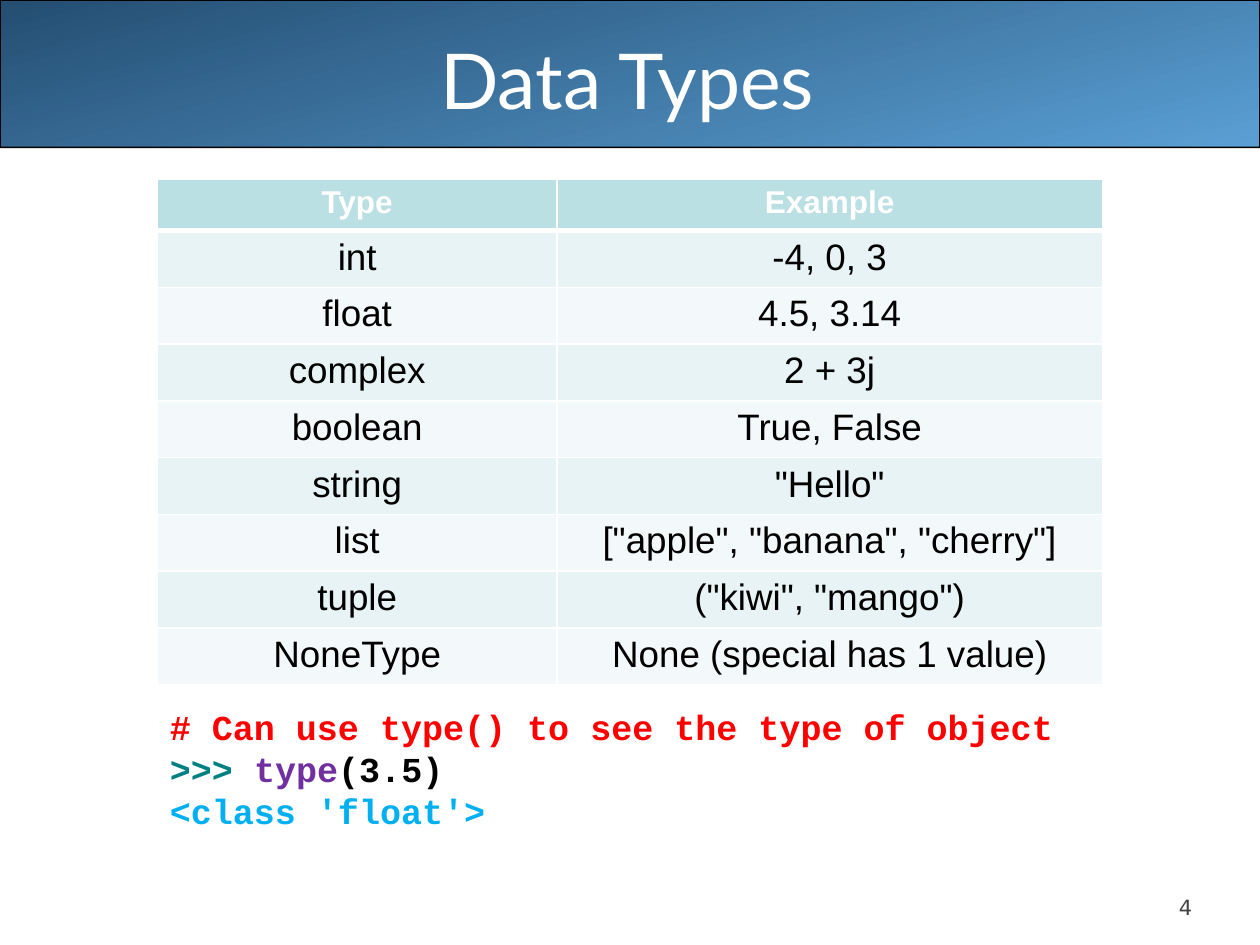
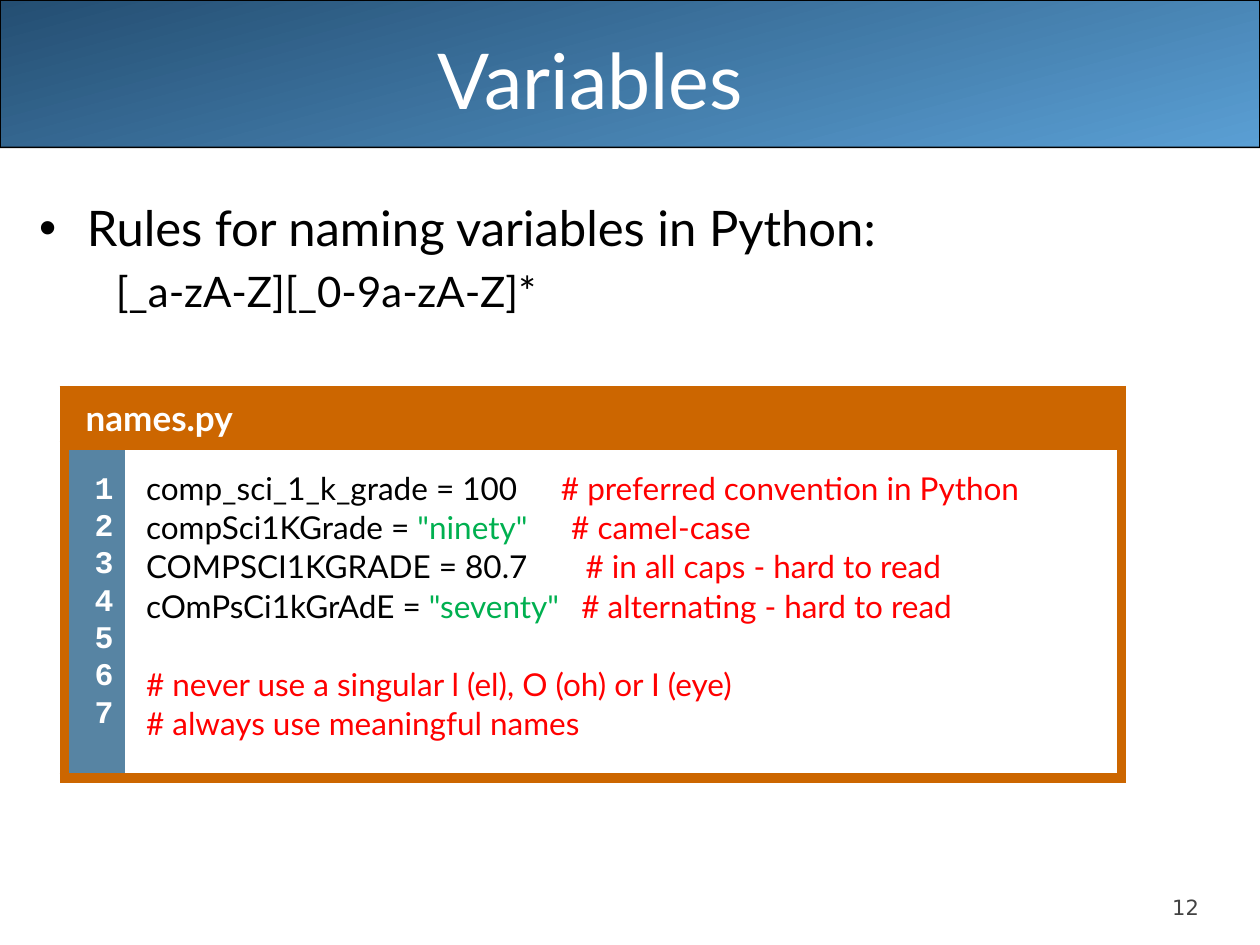
from pptx import Presentation
from pptx.dml.color import RGBColor
from pptx.enum.shapes import MSO_SHAPE
from pptx.enum.text import MSO_ANCHOR, MSO_AUTO_SIZE, PP_ALIGN
from pptx.oxml.ns import qn
from pptx.util import Inches, Pt
from lxml.etree import SubElement

COLORS = {
    "band_dark": "244E72", "band_light": "5A9FD4", "white": "FFFFFF", "black": "000000",
    "number": "424242", "header": "BBE0E3", "odd_row": "E7F3F4", "even_row": "F3F9FA",
    "comment": "FF0000", "prompt": "008080", "builtin": "7030A0", "output": "00B0F0",
    "string": "00B050", "frame": "CC6600", "gutter": "5784A3",
}


def rgb(name):
    return RGBColor.from_string(COLORS[name])


def write(paragraph, text, size=18, font="Lato", color="black", bold=False, align=None,
          before=0, spacing=None, indent=0, hanging=0, bullet=None):
    pieces = [(text, color)] if isinstance(text, str) else text
    for words, shade, *tracking in pieces:
        run = paragraph.add_run()
        run.text = words
        run.font.size, run.font.name, run.font.bold = Pt(size), font, bold
        run.font.color.rgb = rgb(shade)
        if tracking:
            run._r.get_or_add_rPr().set("spc", str(round(tracking[0] * 100)))
    paragraph.space_before = Pt(before)
    if align is not None:
        paragraph.alignment = align
    if spacing:
        paragraph.line_spacing = spacing
    properties = paragraph._p.get_or_add_pPr()
    properties.set("marL", str(Inches(indent)))
    properties.set("indent", str(Inches(-hanging)))
    if bullet:
        SubElement(properties, qn("a:buFont"), typeface="Arial")
        SubElement(properties, qn("a:buChar"), char=bullet)


def write_lines(frame, lines, **style):
    for index, line in enumerate(lines):
        paragraph = frame.paragraphs[0] if index == 0 else frame.add_paragraph()
        line = line if isinstance(line, dict) else {"text": line}
        options = {**style, **line}
        if index == 0:
            options["before"] = 0
        write(paragraph, **options)


def set_margins(target, left, top, right, bottom):
    target.margin_left, target.margin_top = Inches(left), Inches(top)
    target.margin_right, target.margin_bottom = Inches(right), Inches(bottom)


class Deck:
    def __init__(self):
        self.presentation = Presentation()
        self.presentation.slide_width = Inches(10)
        self.presentation.slide_height = Inches(7.5)
        self.slide = None

    def start(self, title, number, right_margin=0.14):
        self.slide = self.presentation.slides.add_slide(self.presentation.slide_layouts[5])
        self.band()
        heading = self.slide.shapes.title
        heading.left, heading.top = Inches(0.5), Inches(0)
        heading.width, heading.height = Inches(9), Inches(1.25)
        frame = heading.text_frame
        frame.auto_size, frame.vertical_anchor = MSO_AUTO_SIZE.NONE, MSO_ANCHOR.MIDDLE
        set_margins(frame, 0.06, 0.06, right_margin, 0.06)
        write(frame.paragraphs[0], title, size=44, color="white",
              align=PP_ALIGN.CENTER, indent=0.04)
        self.text((9.16, 7.05, 0.5, 0.3), [number], anchor=MSO_ANCHOR.BOTTOM,
                  margins=(0, 0.05, 0, 0.05), size=12, font="DejaVu Sans",
                  color="number", align=PP_ALIGN.CENTER)

    def band(self):
        band = self.slide.shapes.add_shape(
            MSO_SHAPE.ROUNDED_RECTANGLE, Inches(0), Inches(0), Inches(10), Inches(1.17))
        band.adjustments[0] = 0.001
        band.shadow.inherit = False
        band.fill.gradient()
        band.fill.gradient_angle = 285
        for stop, position, name in zip(band.fill.gradient_stops, (0, 1),
                                        ("band_dark", "band_light")):
            stop.position = position
            stop.color.rgb = rgb(name)
        band.line.color.rgb = rgb("black")
        band.line.width = Pt(1)
        self.slide.shapes._spTree.insert(2, band._element)

    def text(self, box, lines, anchor=MSO_ANCHOR.TOP, margins=(0.1, 0.05, 0.1, 0.05),
             **style):
        frame = self.slide.shapes.add_textbox(*map(Inches, box)).text_frame
        frame.word_wrap, frame.vertical_anchor = True, anchor
        set_margins(frame, *margins)
        write_lines(frame, lines, **style)

    def table(self, left, top, widths, heights):
        grid = self.slide.shapes.add_table(
            len(heights), len(widths), Inches(left), Inches(top),
            Inches(sum(widths)), Inches(sum(heights))).table
        for column, width in zip(grid.columns, widths):
            column.width = Inches(width)
        for row, height in zip(grid.rows, heights):
            row.height = Inches(height)
        return grid

    def cell(self, cell, lines, fill, edge_color, edges, margins=(0.1, 0.05, 0.1, 0.05),
             **style):
        set_margins(cell, *margins)
        cell.fill.solid()
        cell.fill.fore_color.rgb = rgb(fill)
        self.borders(cell, edge_color, edges)
        write_lines(cell.text_frame, lines, **style)

    def borders(self, cell, color, widths):
        properties = cell._tc.get_or_add_tcPr()
        for index, side in enumerate("LRTB"):
            width = widths.get(side, 0)
            line = SubElement(properties, qn(f"a:ln{side}"), w=str(Pt(width)))
            if width:
                paint = SubElement(line, qn("a:solidFill"))
                SubElement(paint, qn("a:srgbClr"), val=COLORS[color])
            else:
                SubElement(line, qn("a:noFill"))
            properties.insert(index, line)

    def type_table(self, rows):
        grid = self.table(1.25, 1.42, (3.17, 4.33), [0.41] + [0.45] * (len(rows) - 1))
        for r, row in enumerate(rows):
            header = r == 0
            fill = "header" if header else "odd_row" if r % 2 else "even_row"
            edges = {"L": 1, "R": 1, "T": 3 if r == 1 else 1, "B": 3 if header else 1}
            for c, words in enumerate(row):
                self.cell(grid.cell(r, c), [words], fill, "white", edges, font="Arial",
                          bold=header, size=18 if header else 21,
                          color="white" if header else "black", align=PP_ALIGN.CENTER)

    def code_listing(self, filename, code, line_count):
        grid = self.table(0.51, 3.1, (0.48, 7.91), (0.42, 2.64))
        header, header_end = grid.cell(0, 0), grid.cell(0, 1)
        header.merge(header_end)
        all_sides = dict.fromkeys("LRTB", 6)
        self.borders(header_end, "frame", all_sides)
        self.cell(header, [filename], "frame", "frame", all_sides,
                  (0.17, 0.05, 0.05, 0.05), size=20, color="white", bold=True)
        rhythm = {"spacing": 0.87, "before": 3.6}
        self.cell(grid.cell(1, 0), [str(n + 1) for n in range(line_count)], "gutter",
                  "frame", dict.fromkeys("LTB", 6), (0.05, 0.23, 0.09, 0.23),
                  font="Courier New", color="white", bold=True, align=PP_ALIGN.RIGHT,
                  **rhythm)
        self.cell(grid.cell(1, 1), code, "white", "frame", dict.fromkeys("RTB", 6),
                  (0.17, 0.23, 0.18, 0.23), **rhythm)


def data_types(deck):
    deck.start("Data Types", "4")
    deck.type_table([
        ("Type", "Example"),
        ("int", "-4, 0, 3"),
        ("float", "4.5, 3.14"),
        ("complex", "2 + 3j"),
        ("boolean", "True, False"),
        ("string", '"Hello"'),
        ("list", '["apple", "banana", "cherry"]'),
        ("tuple", '("kiwi", "mango")'),
        ("NoneType", "None (special has 1 value)"),
    ])
    deck.text((1.25, 5.55, 7.5, 1.11), [
        [("# Can use type() to see the type of object", "comment")],
        [(">>> ", "prompt"), ("type", "builtin"), ("(3.5)", "black")],
        [("<class 'float'>", "output")],
    ], size=20, font="Courier New", bold=True)


def variables(deck):
    deck.start("Variables", "12", right_margin=0.73)
    deck.text((0.21, 1.51, 9.58, 1.25), [
        {"text": "Rules for naming variables in Python:", "size": 28,
         "indent": 0.42, "hanging": 0.38, "bullet": "•"},
        {"text": "[_a-zA-Z][_0-9a-zA-Z]*", "size": 24, "indent": 0.65, "before": 5},
    ], margins=(0.06, 0.06, 0.1, 0.06))
    assignments = [
        ("comp_sci_1_k_grade = ", "100", "black", 20.3, "# preferred convention in Python"),
        ("compSci1KGrade = ", '"ninety"', "string", 20.3, "# camel-case"),
        ("COMPSCI1KGRADE = ", "80.7", "black", 28.5, "# in all caps - hard to read"),
        ("cOmPsCi1kGrAdE = ", '"seventy"', "string", 8.1, "# alternating - hard to read"),
    ]
    code = [[(name, "black"), (value, shade), (" ", shade, gap), (remark, "comment")]
            for name, value, shade, gap, remark in assignments]
    code += [
        {"text": "# never use a singular l (el), O (oh) or I (eye)",
         "color": "comment", "before": 26},
        {"text": "# always use meaningful names", "color": "comment"},
    ]
    deck.code_listing("names.py", code, 7)


def main():
    deck = Deck()
    data_types(deck)
    variables(deck)
    deck.presentation.save("out.pptx")


if __name__ == "__main__":
    main()
